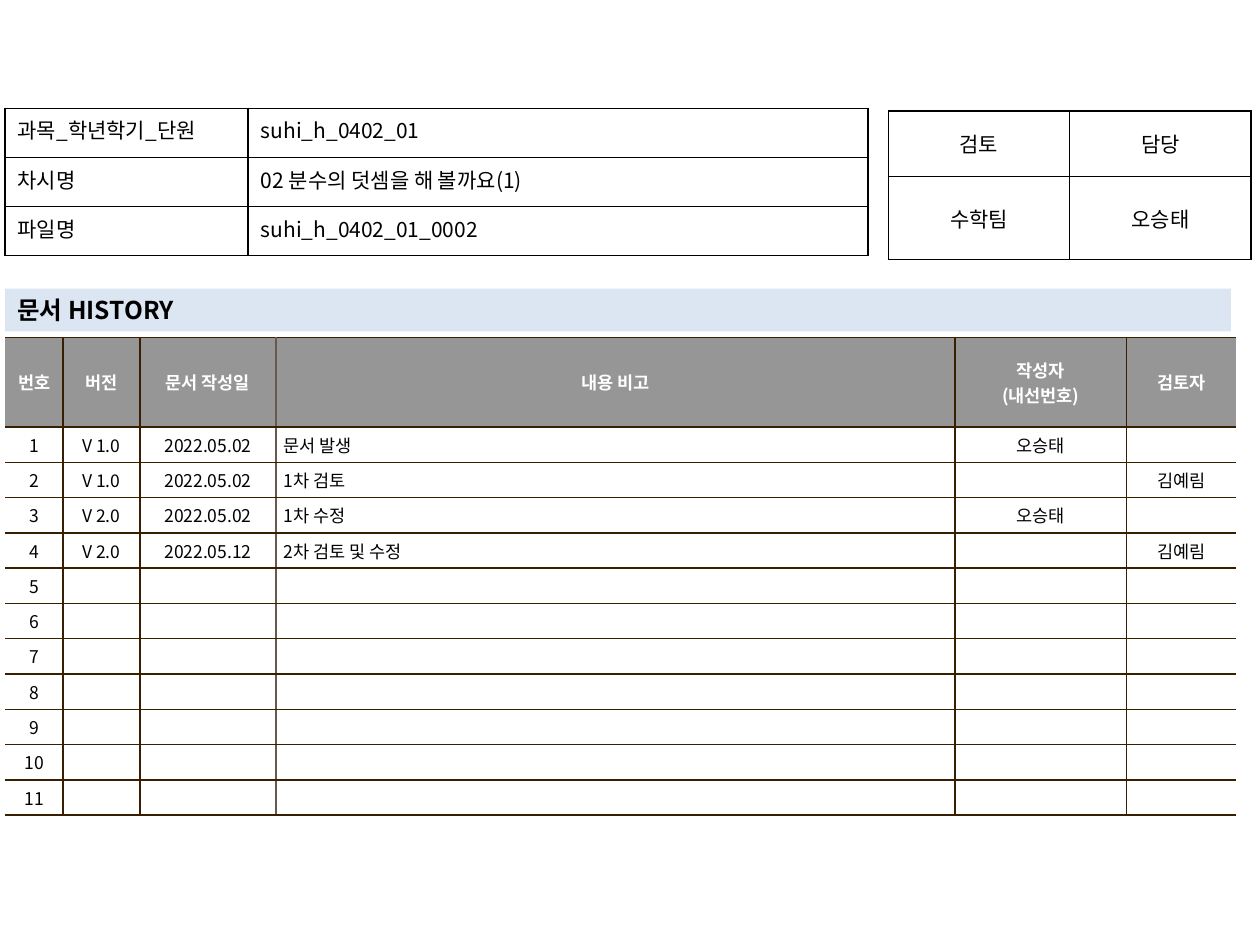
from dataclasses import dataclass, field

from lxml import etree
from pptx import Presentation
from pptx import util as u
from pptx.dml.color import RGBColor
from pptx.enum import shapes, text
from pptx.oxml.ns import qn

COLORS = {
    "black": "000000",
    "white": "FFFFFF",
    "header": "969696",
    "band": "DCE6F2",
    "brown": "362000",
    "taupe": "645B4C",
}
FONT = "Noto Sans CJK KR"
LEFT, CENTER, JUSTIFY = (
    text.PP_ALIGN.LEFT, text.PP_ALIGN.CENTER, text.PP_ALIGN.JUSTIFY)
TOP, MIDDLE = text.MSO_ANCHOR.TOP, text.MSO_ANCHOR.MIDDLE


@dataclass
class TableSpec:
    left: float
    top: float
    columns: list[float]
    rows: list[float]
    cells: list[list[str]]
    aligns: list
    anchor: int
    size: int
    margins: tuple[float, float]
    border: str
    body_fill: str | None = None
    header_fill: str | None = None
    open_sides: bool = False
    inner_borders: dict[int, str] = field(default_factory=dict)
    hanging: dict[int, float] = field(default_factory=dict)


def style_paragraph(paragraph, size: int, color: str, bold: bool, align) -> None:
    paragraph.alignment = align
    font = paragraph.font
    font.size, font.bold, font.name = u.Pt(size), bold, FONT
    font.color.rgb = RGBColor.from_string(COLORS[color])
    etree.SubElement(font._rPr, qn("a:ea")).set("typeface", FONT)


def add_border(cell, side: str, color: str | None) -> None:
    line = etree.SubElement(cell._tc.get_or_add_tcPr(), qn(f"a:ln{side}"))
    if color is None:
        etree.SubElement(line, qn("a:noFill"))
        return
    line.set("w", str(u.Pt(1)))
    fill = etree.SubElement(line, qn("a:solidFill"))
    etree.SubElement(fill, qn("a:srgbClr")).set("val", COLORS[color])


def draw_cell(cell, spec: TableSpec, row: int, column: int) -> None:
    is_header = row == 0 and spec.header_fill is not None
    last = len(spec.columns) - 1

    # Borders; inner_borders is keyed by the column to the right of the line
    outer = None if spec.open_sides else spec.border
    left = outer if column == 0 else spec.inner_borders.get(column, spec.border)
    right = (outer if column == last
             else spec.inner_borders.get(column + 1, spec.border))
    for side, color in zip("LRTB", (left, right, spec.border, spec.border)):
        add_border(cell, side, color)

    # Fill
    fill = spec.header_fill if is_header else spec.body_fill
    if fill:
        cell.fill.solid()
        cell.fill.fore_color.rgb = RGBColor.from_string(COLORS[fill])
    else:
        cell.fill.background()

    # Text
    cell.vertical_anchor = spec.anchor
    cell.margin_left = cell.margin_right = u.Inches(spec.margins[0])
    cell.margin_top = cell.margin_bottom = u.Inches(spec.margins[1])
    cell.text = spec.cells[row][column]
    for paragraph in cell.text_frame.paragraphs:
        if column in spec.hanging and not is_header:
            properties = paragraph._p.get_or_add_pPr()
            indent = u.Inches(spec.hanging[column])
            properties.set("marL", str(indent))
            properties.set("indent", str(-indent))
        style_paragraph(paragraph, spec.size, "white" if is_header else "black",
                        is_header, CENTER if is_header else spec.aligns[column])
        if not paragraph.runs:  # keeps empty rows low
            end = etree.SubElement(paragraph._p, qn("a:endParaRPr"))
            end.set("sz", str(spec.size * 100))


def draw_table(slide, spec: TableSpec) -> None:
    table = slide.shapes.add_table(
        len(spec.rows), len(spec.columns), u.Inches(spec.left), u.Inches(spec.top),
        u.Inches(sum(spec.columns)), u.Inches(sum(spec.rows))).table
    table.first_row = table.horz_banding = False
    for column, width in zip(table.columns, spec.columns):
        column.width = u.Inches(width)
    for row, height in zip(table.rows, spec.rows):
        row.height = u.Inches(height)
    for row in range(len(spec.rows)):
        for column in range(len(spec.columns)):
            draw_cell(table.cell(row, column), spec, row, column)


def draw_heading(slide, label: str) -> None:
    shape = slide.shapes.add_shape(
        shapes.MSO_SHAPE.RECTANGLE,
        u.Inches(0.04), u.Inches(2.29), u.Inches(9.73), u.Inches(0.34))
    shape.shadow.inherit = False
    shape.fill.solid()
    shape.fill.fore_color.rgb = RGBColor.from_string(COLORS["band"])
    shape.line.fill.background()
    frame = shape.text_frame
    frame.word_wrap = True
    frame.vertical_anchor = MIDDLE
    frame.text = label
    style_paragraph(frame.paragraphs[0], 14, "black", True, LEFT)


ENTRIES = [
    ["V 1.0", "2022.05.02", "문서 발생", "오승태", ""],
    ["V 1.0", "2022.05.02", "1차 검토", "", "김예림"],
    ["V 2.0", "2022.05.02", "1차 수정", "오승태", ""],
    ["V 2.0", "2022.05.12", "2차 검토 및 수정", "", "김예림"],
]
ENTRY_ROWS = 11
BLANK_ENTRIES = [[""] * 5] * (ENTRY_ROWS - len(ENTRIES))

HISTORY = TableSpec(
    left=0.04, top=2.68,
    columns=[0.46, 0.61, 1.08, 5.39, 1.36, 0.87],
    rows=[0.71] + [0.25] * ENTRY_ROWS,
    cells=[["번호", "버전", "문서 작성일", "내용 비고", "작성자\n(내선번호)", "검토자"]]
    + [[str(number), *entry]
       for number, entry in enumerate(ENTRIES + BLANK_ENTRIES, 1)],
    aligns=[CENTER, CENTER, CENTER, LEFT, CENTER, CENTER],
    anchor=MIDDLE, size=10, margins=(0.06, 0.04), border="brown",
    body_fill="white", header_fill="header", open_sides=True,
    inner_borders={3: "taupe"}, hanging={3: 0.19})

REVIEW = TableSpec(
    left=7.05, top=0.88, columns=[1.44, 1.44], rows=[0.52, 0.66],
    cells=[["검토", "담당"], ["수학팀", "오승태"]],
    aligns=[CENTER, CENTER],
    anchor=MIDDLE, size=12, margins=(0.1, 0.05), border="black")

LESSON = TableSpec(
    left=0.04, top=0.86, columns=[1.93, 4.92], rows=[0.39] * 3,
    cells=[["과목_학년학기_단원", "suhi_h_0402_01"],
           ["차시명", "02 분수의 덧셈을 해 볼까요(1)"],
           ["파일명", "suhi_h_0402_01_0002"]],
    aligns=[JUSTIFY, LEFT],
    anchor=TOP, size=12, margins=(0.1, 0.05), border="black")


def main() -> None:
    presentation = Presentation()
    presentation.slide_width = u.Inches(10)
    presentation.slide_height = u.Inches(7.5)
    slide = presentation.slides.add_slide(presentation.slide_layouts[6])
    draw_table(slide, HISTORY)
    draw_table(slide, REVIEW)
    draw_heading(slide, "문서 HISTORY")
    draw_table(slide, LESSON)
    presentation.save("out.pptx")


if __name__ == "__main__":
    main()
